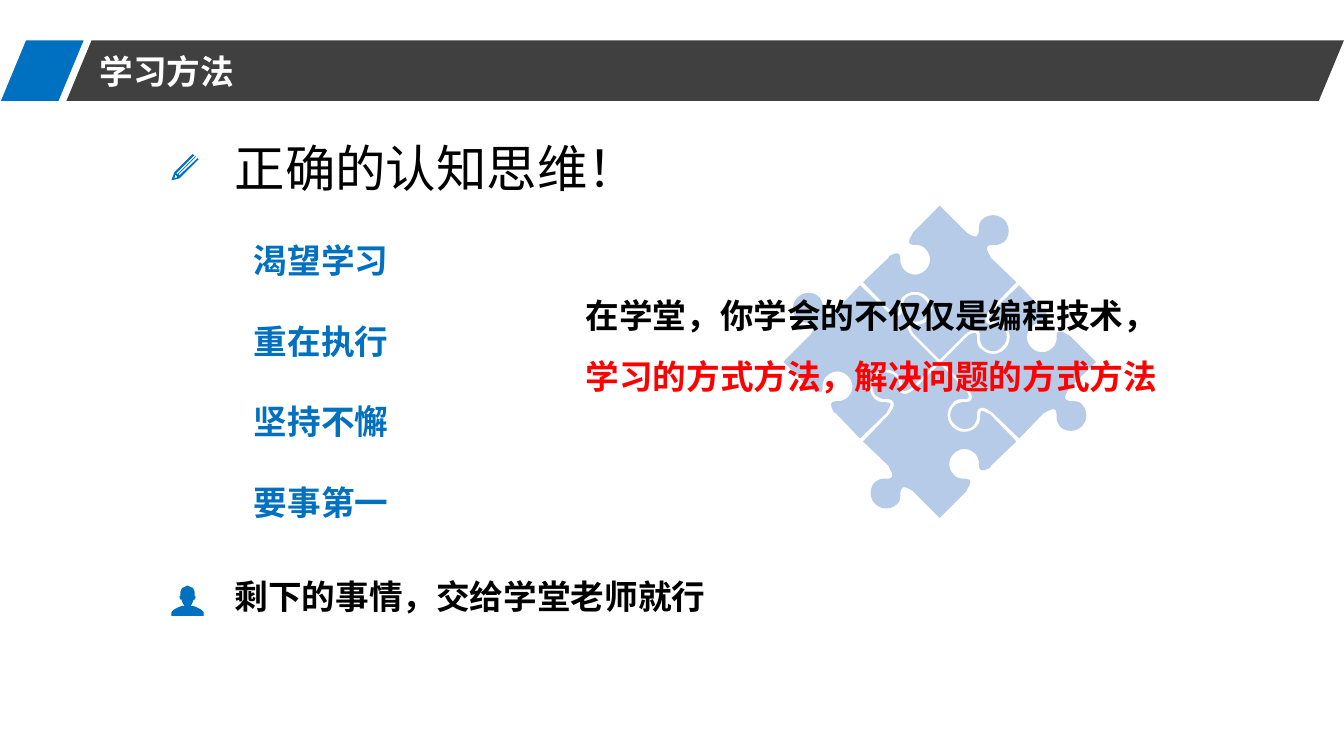
from pptx import Presentation
from pptx.dml.color import RGBColor
from pptx.enum.shapes import MSO_SHAPE
from pptx.oxml.ns import qn
from pptx.util import Emu, Pt

CELL = 9144
COLUMNS, ROWS = 1333, 750
FONT = "Noto Sans CJK SC"
BLUE, DARK, PALE, RED = "0070C0", "404040", "B5CBE7", "FF0000"
BLACK, WHITE = "000000", "FFFFFF"
PUZZLE_CENTRE = (932, 359)
PERSON_AXIS = 186

PUZZLE_PIECE = [
    (996, 218), (1002, 224, 1002, 234, 996, 240),
    (995, 240, 992, 243, 988, 243), (985, 243, 981, 243, 980, 244),
    (978, 246, 979, 249, 982, 254), (983, 256), (1008, 280), (982, 307),
    (977, 314, 977, 317, 978, 319), (979, 322, 983, 322, 986, 322),
    (988, 322), (992, 323, 994, 325, 995, 325),
    (1000, 330, 1000, 339, 994, 344), (989, 350, 981, 350, 975, 344),
    (975, 344, 973, 342, 972, 337), (972, 335),
    (972, 333, 972, 329, 970, 328), (967, 326, 964, 327, 958, 331),
    (957, 332), (932, 357), (907, 332), (906, 331),
    (902, 325, 903, 323, 904, 323), (904, 322, 907, 322, 908, 322),
    (910, 322), (916, 322, 919, 319, 919, 318),
    (926, 311, 926, 301, 919, 294), (913, 288, 902, 288, 896, 294),
    (895, 295, 892, 298, 892, 303), (892, 305),
    (892, 307, 891, 309, 891, 310), (890, 310, 889, 311, 883, 307),
    (882, 307), (856, 280), (881, 256), (882, 254),
    (894, 247, 893, 255, 893, 260), (894, 265, 897, 268, 897, 268),
    (903, 274, 912, 274, 918, 268), (924, 262, 924, 253, 918, 247),
    (918, 247, 916, 244, 910, 243), (905, 243, 897, 244, 905, 232),
    (906, 230), (932, 204), (958, 230), (959, 231),
    (965, 235, 968, 235, 969, 234), (971, 232, 971, 229, 971, 226),
    (971, 221, 973, 219, 974, 218), (980, 212, 990, 212, 996, 218),
]
PENCIL_BODY = [
    (178, 174), (177, 173), (194, 156), (194, 155), (176, 173), (175, 172),
    (193, 154), (191, 153), (173, 171), (170, 179), (178, 177), (197, 158),
    (196, 157),
]
PENCIL_TIP = [(174, 173), (176, 176), (173, 177)]
PERSON_HALF = [
    (186, 581), (187, 581, 189, 583, 191, 583),
    (192, 584, 192, 585, 193, 587), (193, 588, 193, 590, 193, 591),
    (194, 592), (194, 593, 193, 595, 193, 595), (192, 595),
    (191, 598, 190, 600, 189, 601), (193, 601, 196, 603, 198, 604),
    (202, 606, 202, 608, 202, 608), (202, 611),
]


def color(value):
    """Turn a hex string into a colour."""
    return RGBColor.from_string(value)


def place(*cells):
    """Turn grid cells into slide lengths."""
    return [Emu(round(cell * CELL)) for cell in cells]


def paint(shape, fill):
    """Give a shape a plain fill without line or shadow."""
    shape.shadow.inherit = False
    shape.fill.solid()
    shape.fill.fore_color.rgb = color(fill)
    shape.line.fill.background()


def add_band(slide, box, fill):
    """Add a slanted header band."""
    band = slide.shapes.add_shape(MSO_SHAPE.PARALLELOGRAM, *place(*box))
    band.adjustments[0] = 0.415
    paint(band, fill)


def flatten(segments, steps=6):
    """Turn lines and Bezier curves into a list of points."""
    points = [segments[0]]
    for segment in segments[1:]:
        if len(segment) == 2:
            points.append(segment)
            continue
        controls = [points[-1], segment[:2], segment[2:4], segment[4:]]
        for step in range(1, steps + 1):
            t = step / steps
            weights = [(1 - t) ** 3, 3 * t * (1 - t) ** 2, 3 * t * t * (1 - t), t ** 3]
            points.append(tuple(
                sum(weight * control[axis] for weight, control in zip(weights, controls))
                for axis in (0, 1)))
    return points


def add_outline(slide, contours, fill):
    """Add a filled outline made of closed contours."""
    first, *others = [[place(*point) for point in contour] for contour in contours]
    builder = slide.shapes.build_freeform(*first[0])
    builder.add_line_segments(first[1:], close=True)
    for contour in others:
        builder.move_to(*contour[0])
        builder.add_line_segments(contour[1:], close=True)
    paint(builder.convert_to_shape(), fill)


def add_puzzle(slide):
    """Add four puzzle pieces, each a quarter turn from the last."""
    centre_x, centre_y = PUZZLE_CENTRE
    points = flatten(PUZZLE_PIECE)
    for _ in range(4):
        add_outline(slide, [points], PALE)
        points = [(centre_x + centre_y - y, centre_y + x - centre_x) for x, y in points]


def add_person(slide):
    """Add the person icon from one half and its mirror."""
    right = flatten(PERSON_HALF)
    left = [(2 * PERSON_AXIS - x, y) for x, y in reversed(right[1:])]
    add_outline(slide, [right + left], BLUE)


def add_text(slide, box, lines, size=24, bold=True, spacing=1.2, gap=0):
    """Add a text box with one paragraph for each text and colour."""
    frame = slide.shapes.add_textbox(*place(*box)).text_frame
    frame.word_wrap = True
    for index, (text, fill) in enumerate(lines):
        paragraph = frame.paragraphs[0] if index == 0 else frame.add_paragraph()
        layout = {"line_spacing": Pt(size * spacing), "space_before": Pt(gap if index else 0)}
        for name, value in layout.items():
            setattr(paragraph, name, value)
        run = paragraph.add_run()
        run.text = text
        for name, value in {"name": FONT, "size": Pt(size), "bold": bold}.items():
            setattr(run.font, name, value)
        run.font.color.rgb = color(fill)
        east_asian = run.font._element.makeelement(qn("a:ea"), {"typeface": FONT})
        run.font._element.find(qn("a:latin")).addnext(east_asian)


def main():
    """Build the slide and save it."""
    presentation = Presentation()
    presentation.slide_width, presentation.slide_height = place(COLUMNS, ROWS)
    slide = presentation.slides.add_slide(presentation.slide_layouts[6])
    add_band(slide, (66, 40, 1267, 60), DARK)
    add_band(slide, (1, 40, 82, 60), BLUE)
    add_text(slide, (89, 46, 548, 50), [("学习方法", WHITE)])
    add_text(slide, (223, 131, 953, 71), [("正确的认知思维！", BLACK)], size=36, bold=False)
    add_outline(slide, [PENCIL_BODY, PENCIL_TIP], BLUE)
    habits = ["渴望学习", "重在执行", "坚持不懈", "要事第一"]
    add_text(slide, (242, 233, 253, 364), [(habit, BLUE) for habit in habits], gap=28.8)
    add_text(slide, (223, 566, 607, 91), [("剩下的事情，交给学堂老师就行", BLACK)])
    add_puzzle(slide)
    add_person(slide)
    add_text(slide, (571, 268, 966, 131), [
        ("在学堂，你学会的不仅仅是编程技术，", BLACK),
        ("学习的方式方法，解决问题的方式方法", RED),
    ], spacing=1.8)
    presentation.save("out.pptx")


if __name__ == "__main__":
    main()
